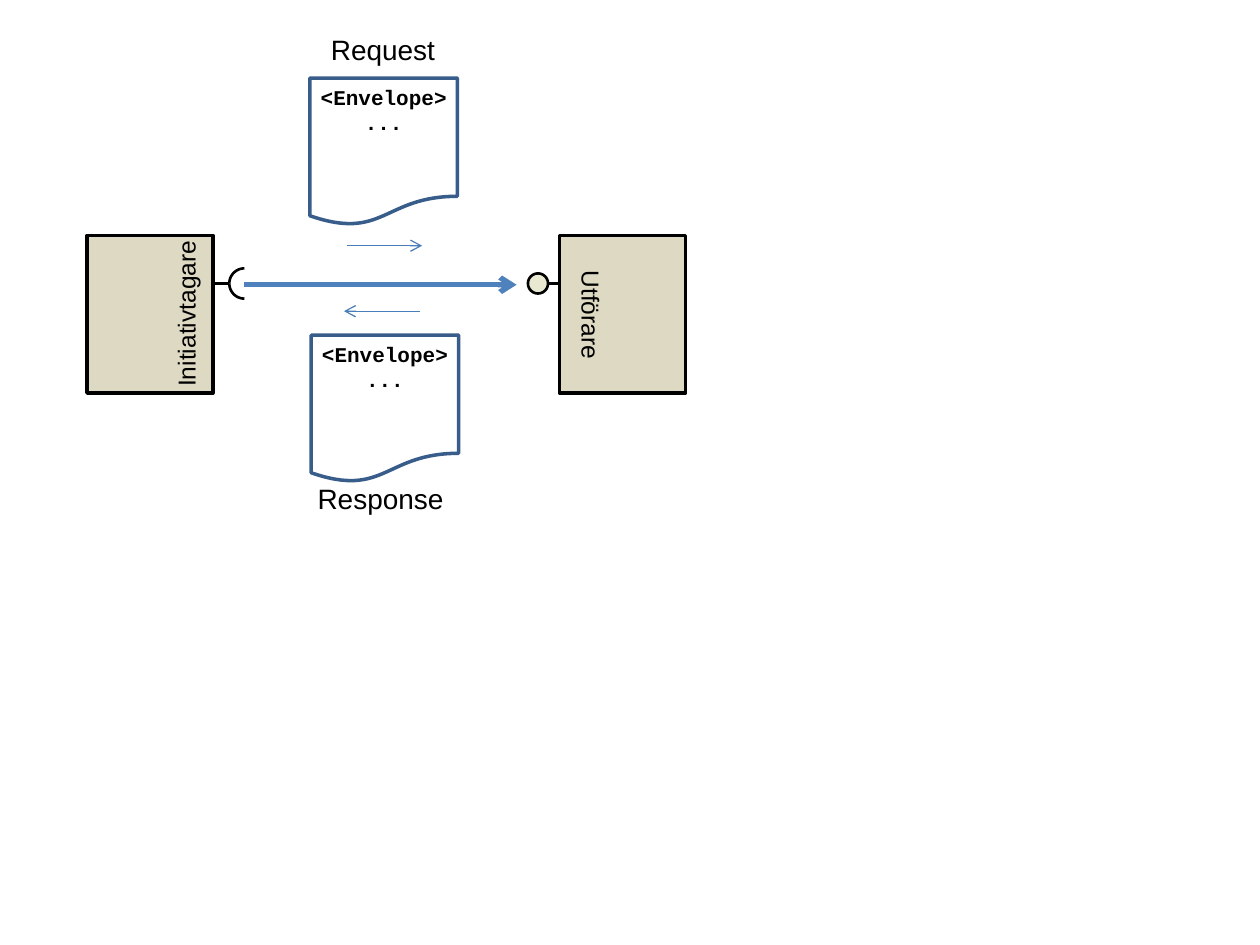
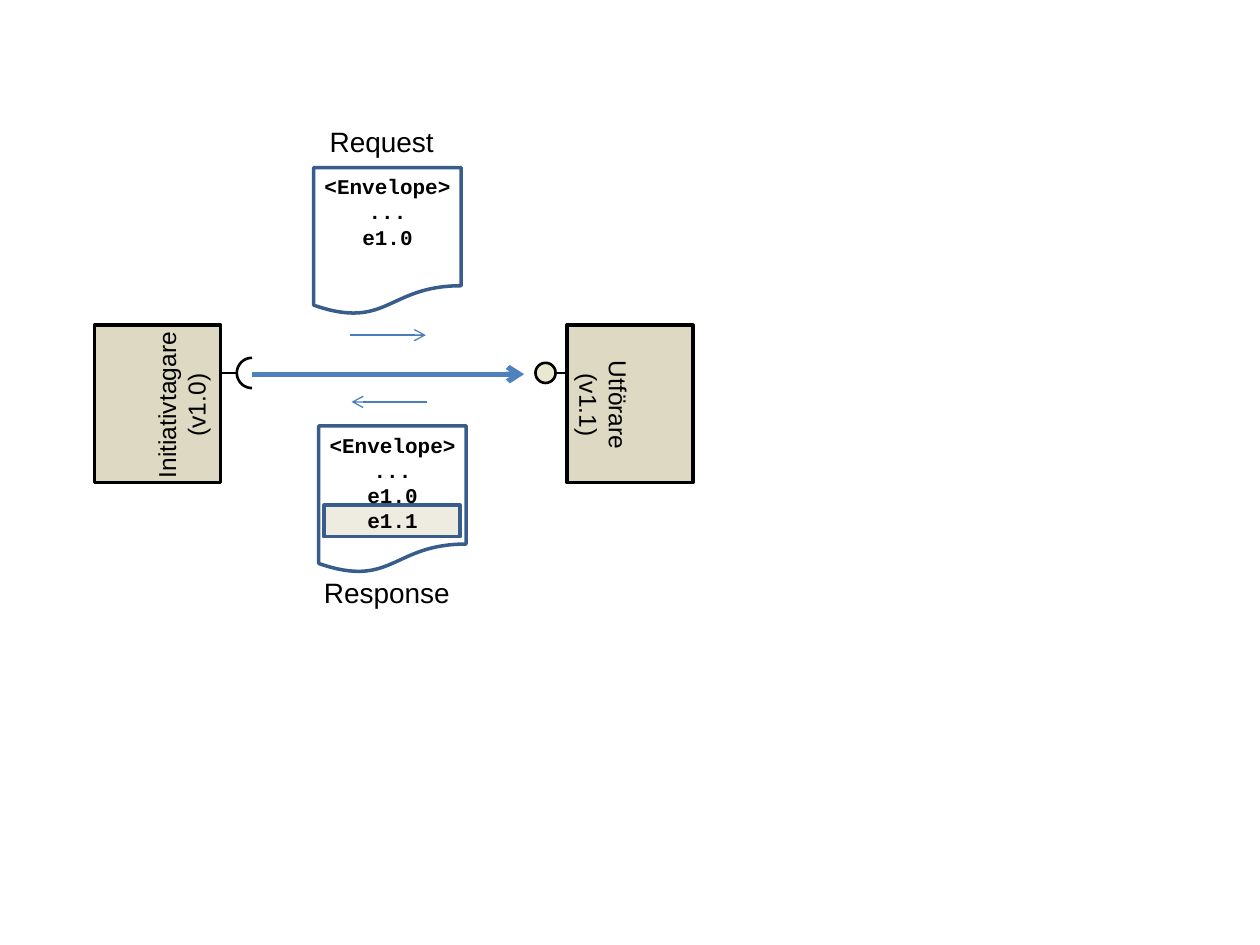
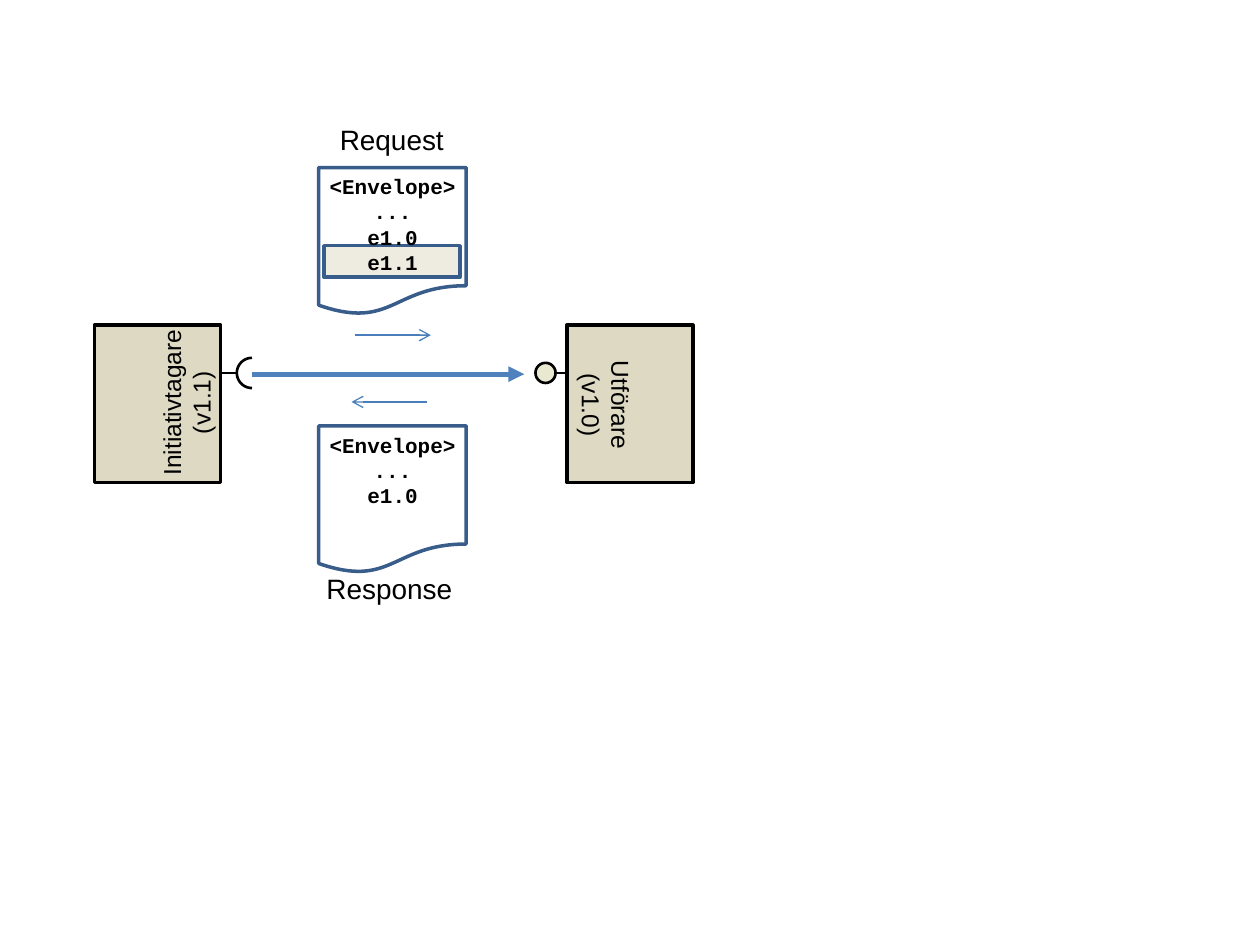
from dataclasses import dataclass
from math import cos, radians, sin

from lxml.etree import SubElement
from pptx import Presentation
from pptx.dml.color import RGBColor
from pptx.enum.shapes import MSO_CONNECTOR, MSO_SHAPE
from pptx.enum.text import MSO_AUTO_SIZE, PP_ALIGN
from pptx.oxml.ns import qn
from pptx.util import Inches, Pt

COLOURS = {
    "ink": "000000", "party": "DDD9C3", "ball": "E9E8D0", "paper": "FFFFFF",
    "border": "385D8A", "mark": "EEECE1", "call": "4F81BD", "flow": "4A7EBB",
}
TITLE = {"name": "Arial", "size": Pt(16)}
PARTY = {"name": "Arial", "size": Pt(14)}
CODE = {"name": "Courier New", "size": Pt(12), "bold": True}
FRAME = {
    "margin_left": Inches(0.1), "margin_right": Inches(0.1),
    "margin_top": Inches(0.05), "margin_bottom": Inches(0.05),
    "auto_size": MSO_AUTO_SIZE.SHAPE_TO_FIT_TEXT,
}
PARTY_SIZE = (1, 1.25)
DOCUMENT_SIZE = (1.17, 1.17)
PERFORMER_OFFSET = 3.75
AXIS = 0.38
SOCKET_RADIUS = 0.12
ENVELOPE = ("<Envelope>", "...")


@dataclass
class Party:
    """A labelled party; shift places its label relative to its box."""
    lines: tuple
    shift: tuple


@dataclass
class Message:
    """A document; offset is from the initiator, title_shift from the document."""
    lines: tuple
    offset: tuple
    title_shift: tuple
    mark_top: float = 0


@dataclass
class Exchange:
    """Everything that differs between the slides."""
    origin: tuple
    initiator: Party
    performer: Party
    request: Message
    response: Message
    head: str = "arrow"


EXCHANGES = (
    Exchange(
        (0.69, 1.87),
        Party(("Initiativtagare",), (0.11, 0.45)),
        Party(("Utförare",), (-0.22, 0.46)),
        Message(ENVELOPE, (1.77, -1.25), (0.05, -0.41)),
        Message(ENVELOPE, (1.78, 0.79), (-0.05, 1.11)),
    ),
    Exchange(
        (0.75, 2.58),
        Party(("Initiativtagare", "(v1.0)"), (0.01, 0.35)),
        Party(("Utförare", "(v1.1)"), (-0.18, 0.35)),
        Message((*ENVELOPE, "e1.0"), (1.74, -1.25), (0.01, -0.39)),
        Message((*ENVELOPE, "e1.0", "e1.1"), (1.78, 0.8), (-0.06, 1.14), 0.63),
    ),
    Exchange(
        (0.75, 2.58),
        Party(("Initiativtagare", "(v1.1)"), (0.05, 0.33)),
        Party(("Utförare", "(v1.0)"), (-0.16, 0.35)),
        Message((*ENVELOPE, "e1.0", "e1.1"), (1.78, -1.25), (0.05, -0.41), 0.62),
        Message((*ENVELOPE, "e1.0"), (1.78, 0.8), (-0.04, 1.11)),
        "triangle",
    ),
)


def colour(name):
    """Return the RGB colour of a palette name."""
    return RGBColor.from_string(COLOURS[name])


def apply(target, values):
    """Set each attribute of target from a dict."""
    for key, value in values.items():
        setattr(target, key, value)


def shift(point, offset):
    """Return the point moved by the offset."""
    return point[0] + offset[0], point[1] + offset[1]


def draw_line(line, name, width):
    """Set the colour and width of a line."""
    line.color.rgb = colour(name)
    line.width = Pt(width)


def add_outline(page, kind, place, size, fill, line, width):
    """Add a filled preset shape."""
    shape = page.shapes.add_shape(kind, *map(Inches, (*place, *size)))
    shape.shadow.inherit = False
    shape.fill.solid()
    shape.fill.fore_color.rgb = colour(fill)
    draw_line(shape.line, line, width)


def add_quarter(page, centre, start_angle):
    """Add an open quarter circle of the socket."""
    points = [
        tuple(map(Inches, shift(centre, (SOCKET_RADIUS * cos(radians(angle)),
                                         SOCKET_RADIUS * sin(radians(angle))))))
        for angle in range(start_angle, start_angle + 91, 6)
    ]
    builder = page.shapes.build_freeform(*points[0])
    builder.add_line_segments(points[1:], close=False)
    arc = builder.convert_to_shape()
    arc.shadow.inherit = False
    arc.fill.background()
    draw_line(arc.line, "ink", 1.5)


def add_line(page, start, end, line, width, head=None):
    """Add a straight connector with an optional arrowhead at its end."""
    connector = page.shapes.add_connector(
        MSO_CONNECTOR.STRAIGHT, *map(Inches, (*start, *end)))
    draw_line(connector.line, line, width)
    if head:
        SubElement(connector.line._get_or_add_ln(), qn("a:tailEnd"), type=head)
    SubElement(connector._element.spPr, qn("a:effectLst"))


def add_text(page, place, size, lines, style, wrap=False, rotation=0):
    """Add centred text, one paragraph a line."""
    box = page.shapes.add_textbox(*map(Inches, (*place, *size)))
    box.rotation = rotation
    frame = box.text_frame
    apply(frame, {**FRAME, "word_wrap": wrap})
    for index, line in enumerate(lines):
        para = frame.add_paragraph() if index else frame.paragraphs[0]
        para.alignment = PP_ALIGN.CENTER
        span = para.add_run()
        span.text = line
        apply(span.font, style)
        span.font.color.rgb = colour("ink")


def add_interface(page, origin, head):
    """Draw the socket, the ball and the call between them."""
    left, top = origin
    axis = top + AXIS
    add_line(page, (left + 1.13, axis), (left + 0.83, axis), "ink", 1.5)
    for start_angle in (180, 90):
        add_quarter(page, (left + 1.25, axis), start_angle)
    add_line(page, (left + 4.02, axis), (left + 3.66, axis), "ink", 1.5)
    add_outline(page, MSO_SHAPE.OVAL, (left + 3.5, axis - 0.08),
                (0.16, 0.16), "ball", "ink", 1.5)
    add_line(page, (left + 1.25, axis + 0.01), (left + 3.41, axis + 0.01),
             "call", 3, head)


def add_party(page, place, party, label_width, rotation):
    """Draw a party box with its turned label."""
    add_outline(page, MSO_SHAPE.RECTANGLE, place, PARTY_SIZE, "party", "ink", 2)
    label_height = 0.11 + 0.23 * len(party.lines)
    add_text(page, shift(place, party.shift), (label_width, label_height),
             party.lines, PARTY, rotation=rotation)


def add_message(page, place, message, title, title_width, flow):
    """Draw a document with its title, text, marked line and flow arrow."""
    add_outline(page, MSO_SHAPE.FLOWCHART_DOCUMENT, place, DOCUMENT_SIZE,
                "paper", "border", 2)
    add_text(page, shift(place, message.title_shift), (title_width, 0.37),
             (title,), TITLE)
    if message.mark_top:
        add_outline(page, MSO_SHAPE.RECTANGLE, shift(place, (0.04, message.mark_top)),
                    (1.08, 0.25), "mark", "border", 2)
    add_text(page, shift(place, (-0.29, 0)), (1.75, 0.3 + 0.2 * len(message.lines)),
             message.lines, CODE, wrap=True)
    start, end = (shift(place, point) for point in flow)
    add_line(page, start, end, "flow", 0.75, "arrow")


def add_exchange(page, exchange):
    """Draw one request and response between two parties."""
    origin = exchange.origin
    add_interface(page, origin, exchange.head)
    add_party(page, origin, exchange.initiator, 1.36, 270)
    add_party(page, shift(origin, (PERFORMER_OFFSET, 0)), exchange.performer, 0.94, 90)
    add_message(page, shift(origin, exchange.request.offset), exchange.request,
                "Request", 1.06, ((0.29, 1.33), (0.89, 1.33)))
    add_message(page, shift(origin, exchange.response.offset), exchange.response,
                "Response", 1.2, ((0.86, -0.19), (0.26, -0.19)))


def main():
    """Build the deck and save it."""
    deck = Presentation()
    deck.slide_width = Inches(10)
    deck.slide_height = Inches(7.5)
    for exchange in EXCHANGES:
        add_exchange(deck.slides.add_slide(deck.slide_layouts[6]), exchange)
    deck.save("out.pptx")


if __name__ == "__main__":
    main()
